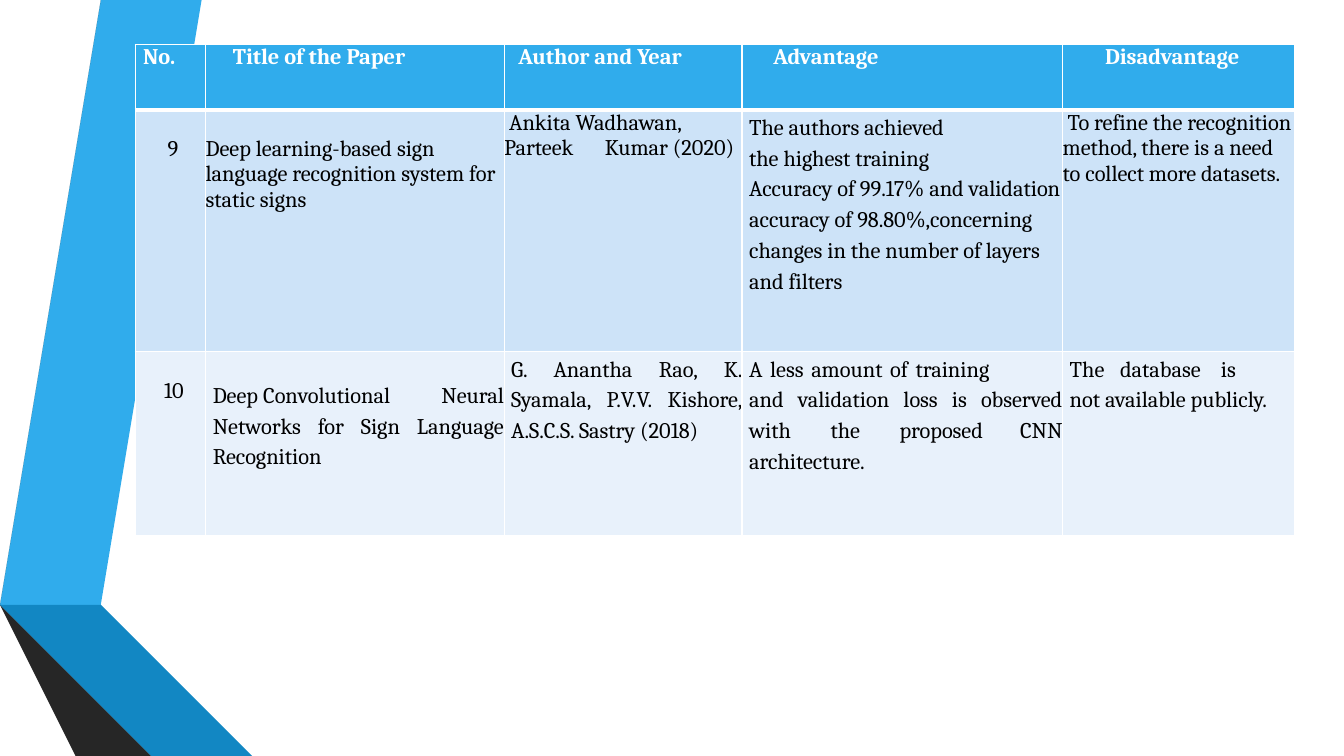
from lxml import etree
from pptx import Presentation
from pptx import util as u
from pptx.dml.color import RGBColor
from pptx.enum import text
from pptx.oxml.ns import qn

WIDTH, HEIGHT = 13.33, 7.5
COLORS = {
    "blue": "30ACEC", "blue_fold": "1287C3", "blue_edge": "0C5A82",
    "gray": "595959", "gray_fold": "404040", "gray_edge": "262626",
    "odd_row": "CDE3F8", "even_row": "E8F1FB", "white": "FFFFFF", "ink": "000000",
}
LEFT, CENTER, JUSTIFY = text.PP_ALIGN.LEFT, text.PP_ALIGN.CENTER, text.PP_ALIGN.JUSTIFY
FONT_SIZE = 16
ONE_LINE = 0.26  # height of a line, by which some cells start lower
INDENT = 0.07
LOOSE = 1.2


def add_border(cell, side, points):
    line = etree.SubElement(cell._tc.get_or_add_tcPr(), qn(f"a:{side}"), w=str(u.Pt(points)))
    fill = etree.SubElement(line, qn("a:solidFill"))
    etree.SubElement(fill, qn("a:srgbClr"), val=COLORS["white"])


def write_cell(cell, lines, color, bold=False, align=LEFT, indent=0, first=0,
               spacing=1, top=0, tabs=()):
    """Fill a cell with paragraphs; indent, first, top and tabs are in inches."""
    cell.margin_left = cell.margin_right = cell.margin_bottom = 0
    cell.margin_top = u.Inches(top)
    cell.text_frame.text = "\n".join(lines)
    for paragraph in cell.text_frame.paragraphs:
        paragraph.alignment = align
        paragraph.line_spacing = spacing
        properties = paragraph._p.get_or_add_pPr()
        properties.set("marL", str(u.Inches(indent)))
        properties.set("indent", str(u.Inches(first)))
        if tabs:
            stops = etree.SubElement(properties, qn("a:tabLst"))
            for stop in tabs:
                etree.SubElement(stops, qn("a:tab"), pos=str(u.Inches(stop)), algn="l")
        paragraph.font.name = "Cambria"
        paragraph.font.size = u.Pt(FONT_SIZE)
        paragraph.font.bold = bold
        paragraph.font.color.rgb = RGBColor.from_string(COLORS[color])


deck = Presentation()
deck.slide_width, deck.slide_height = u.Inches(WIDTH), u.Inches(HEIGHT)
slide = deck.slides.add_slide(deck.slide_layouts[6])

# Folded ribbons along the left edge
ribbons = [
    ("blue", [(0.5, 5.78), (0.77, 5.83), (1.73, 0), (1.45, 0)]),
    ("gray", [(1.39, 0), (1.11, 0), (0.16, 5.73), (0.44, 5.77)]),
    ("gray_edge", [(0.16, 5.73), (1.45, HEIGHT), (1.51, HEIGHT)]),
    ("blue_edge", [(0.5, 5.79), (2.08, HEIGHT), (2.14, HEIGHT)]),
    ("blue_fold", [(0.5, 5.78), (2.14, HEIGHT), (2.83, HEIGHT), (0.77, 5.83)]),
    ("gray_fold", [(0.16, 5.73), (1.51, HEIGHT), (2.02, HEIGHT), (0.48, 5.83), (0.44, 5.77)]),
]
for color, corners in ribbons:
    builder = slide.shapes.build_freeform(*corners[0], scale=u.Inches(1))
    builder.add_line_segments(corners[1:], close=True)
    ribbon = builder.convert_to_shape()
    ribbon.shadow.inherit = False
    ribbon.fill.solid()
    ribbon.fill.fore_color.rgb = RGBColor.from_string(COLORS[color])
    ribbon.line.fill.background()

# Literature survey: each cell holds its paragraphs and their layout
headings = [("No.", 0.08), ("Title of the Paper", 0.27), ("Author and Year", 0.14),
            ("Advantage", 0.31), ("Disadvantage", 0.42)]
papers = [
    [
        (["9"], dict(align=CENTER, indent=0.05, top=ONE_LINE)),
        (["Deep learning-based sign language recognition system for static signs"],
         dict(top=ONE_LINE)),
        (["Ankita Wadhawan, Parteek\tKumar (2020)"], dict(first=0.05)),
        (["The authors achieved", "the highest training",
          "Accuracy of 99.17% and validation accuracy of 98.80%,concerning changes in "
          "the number of layers and filters"],
         dict(indent=INDENT, spacing=LOOSE, tabs=(0.73, 0.78, 0.97))),
        (["To refine the recognition method, there is a need to collect more datasets."],
         dict(first=0.05)),
    ],
    [
        (["10"], dict(align=CENTER, indent=INDENT, top=ONE_LINE)),
        (["Deep\tConvolutional Neural Networks for Sign Language Recognition"],
         dict(align=JUSTIFY, indent=INDENT, spacing=LOOSE, top=ONE_LINE, tabs=(0.71,))),
        (["G. Anantha Rao, K. Syamala, P.V.V. Kishore, A.S.C.S. Sastry (2018)"],
         dict(align=JUSTIFY, indent=INDENT, spacing=LOOSE)),
        (["A less amount of training\t\tand validation loss is observed with the "
          "proposed\tCNN architecture."],
         dict(align=JUSTIFY, indent=INDENT, spacing=LOOSE, tabs=(0.89, 0.97))),
        (["The\tdatabase\tis\tnot available publicly."],
         dict(indent=INDENT, spacing=LOOSE, tabs=(0.45, 1.08, 1.35))),
    ],
]
header = [([title], dict(indent=indent, bold=True)) for title, indent in headings]
rows = [header, *papers]
row_heights = [0.65, 2.4, 1.82]
column_widths = [0.7, 2.96, 2.36, 3.18, 2.3]
row_fills = ["blue", "odd_row", "even_row"]

survey = slide.shapes.add_table(
    len(rows), len(column_widths), u.Inches(1.34), u.Inches(0.44),
    u.Inches(sum(column_widths)), u.Inches(sum(row_heights))).table
for column, width in zip(survey.columns, column_widths):
    column.width = u.Inches(width)
for r, (row, height, row_fill) in enumerate(zip(rows, row_heights, row_fills)):
    survey.rows[r].height = u.Inches(height)
    for c, (lines, layout) in enumerate(row):
        cell = survey.cell(r, c)
        write_cell(cell, lines, "ink" if r else "white", **layout)
        for side in ("lnL", "lnR", "lnT", "lnB"):
            under_header = (r, side) in ((0, "lnB"), (1, "lnT"))
            add_border(cell, side, 3 if under_header else 1)
        cell.fill.solid()
        cell.fill.fore_color.rgb = RGBColor.from_string(COLORS[row_fill])

deck.save("out.pptx")
